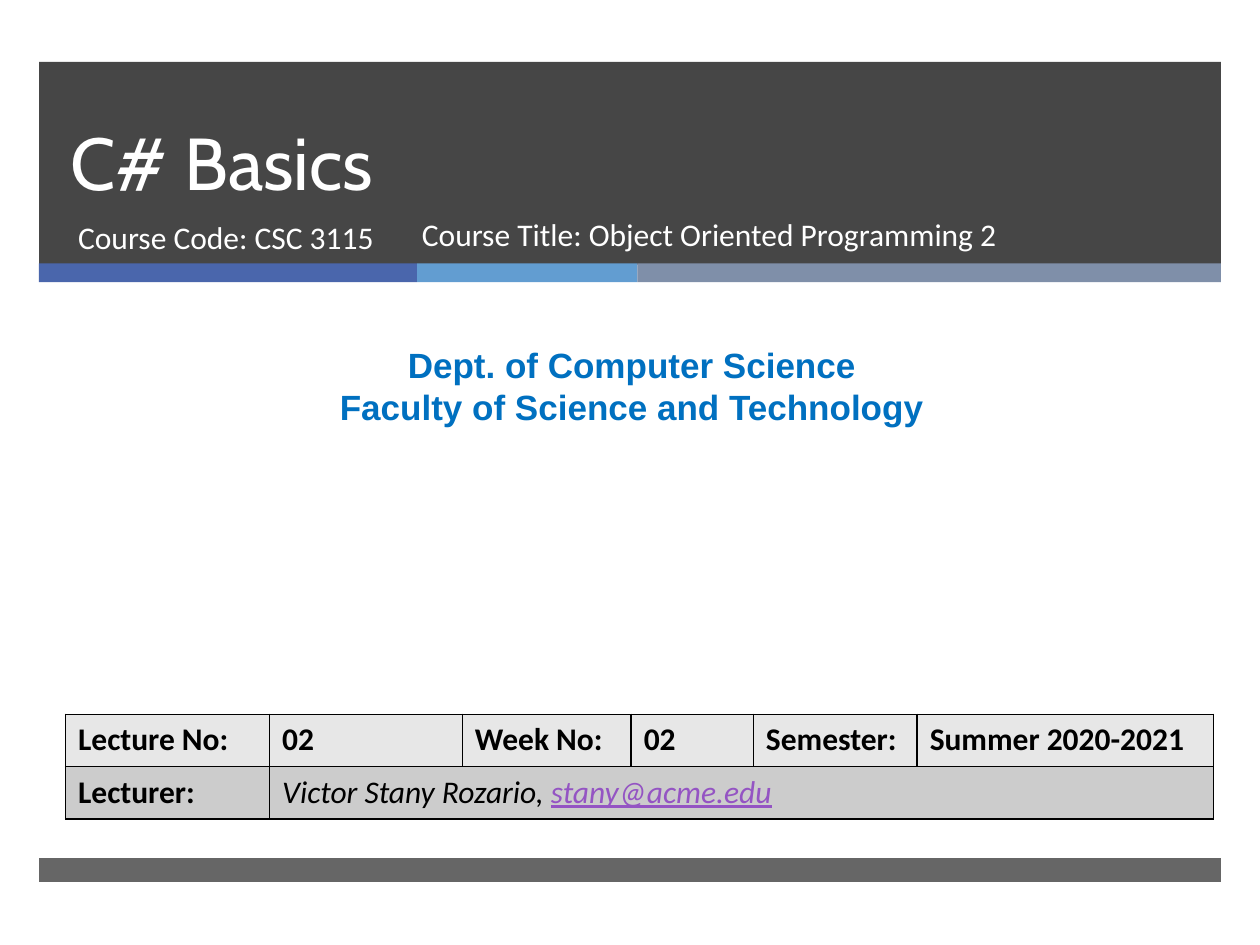
from dataclasses import dataclass

from lxml import etree
from pptx import Presentation
from pptx.dml.color import RGBColor
from pptx.enum.shapes import MSO_SHAPE
from pptx.enum.text import MSO_ANCHOR, MSO_AUTO_SIZE, PP_ALIGN
from pptx.oxml.ns import qn
from pptx.util import Inches, Pt

RECT = MSO_SHAPE.RECTANGLE
TOP, BOTTOM = MSO_ANCHOR.TOP, MSO_ANCHOR.BOTTOM
LEFT, CENTER = PP_ALIGN.LEFT, PP_ALIGN.CENTER
NO_FIT = MSO_AUTO_SIZE.NONE


@dataclass(frozen=True)
class Theme:
    """Colours, fonts and type sizes of the slide."""
    dark: str = "262626"
    stripes: tuple = ("4A66AC", "629DD1", "7F8FA9")
    white: str = "FFFFFF"
    black: str = "000000"
    blue: str = "0070C0"
    link: str = "9454C3"
    rows: tuple = ("E7E7E7", "CCCCCC")
    head: str = "Cabin"
    body: str = "Calibri"
    dept: str = "Arial"
    big: int = 42
    lead: int = 46
    mid: int = 20
    small: int = 18


THEME = Theme()


def add_run(para, text, font, size, color, bold=False, italic=False, under=False):
    """Add one formatted run to a paragraph."""
    run = para.add_run()
    run.text = text
    face = run.font
    face.name, face.size = font, Pt(size)
    face.bold, face.italic, face.underline = bold, italic, under
    face.color.rgb = RGBColor.from_string(color)


def place(shape, box):
    """Move a shape to a box given in inches."""
    shape.left, shape.top, shape.width, shape.height = map(Inches, box)


def add_bar(shapes, box, color, alpha=100):
    """Draw a plain bar, see-through when alpha is below 100."""
    bar = shapes.add_shape(RECT, *map(Inches, box))
    bar.shadow.inherit = False
    bar.line.fill.background()
    bar.fill.solid()
    bar.fill.fore_color.rgb = RGBColor.from_string(color)
    if alpha < 100:
        tint = bar.element.spPr.find(qn("a:solidFill"))[0]
        etree.SubElement(tint, qn("a:alpha")).set("val", str(alpha * 1000))


def add_stripes(slide, box):
    """Draw the grouped colour stripes side by side."""
    left, top, width, height = box
    group = slide.shapes.add_group_shape()
    parts = (3, 1.75, width - 4.75)
    for part, color in zip(parts, THEME.stripes):
        add_bar(group.shapes, (left, top, part, height), color)
        left += part


def fill_holder(slide, holder, box, anchor):
    """Bring a placeholder to the front and return its paragraph."""
    place(holder, box)
    slide.shapes.element.append(holder.element)
    frame = holder.text_frame
    frame.word_wrap, frame.auto_size = True, NO_FIT
    frame.vertical_anchor = anchor
    para = frame.paragraphs[0]
    para.alignment, para.space_before = LEFT, Pt(0)
    return para


def add_note(slide, box, lines, align, font, size, color, bold=False):
    """Add a text box with one paragraph for each line."""
    note = slide.shapes.add_textbox(*map(Inches, box))
    frame = note.text_frame
    frame.word_wrap = True
    for i, line in enumerate(lines):
        para = frame.add_paragraph() if i else frame.paragraphs[0]
        para.alignment = align
        add_run(para, line, font, size, color, bold)


def add_banner(slide, box):
    """Build the dark banner with title, course line and stripes."""
    left, top, width, height = box
    base = top + height
    add_bar(slide.shapes, box, THEME.dark, 85)
    add_stripes(slide, (left, base - 0.01, width, 0.15))
    para = fill_holder(slide, slide.shapes.title,
                       (left + 0.15, top, 8.54, 1.19), BOTTOM)
    para.line_spacing = Pt(THEME.lead)
    add_run(para, "C# Basics", THEME.head, THEME.big, THEME.white)
    para = fill_holder(slide, slide.placeholders[1],
                       (left + 0.21, base - 0.42, 3.05, 0.53), TOP)
    add_run(para, "Course Code: CSC 3115", THEME.body, THEME.small, THEME.white)
    add_note(slide, (left + 2.94, base - 0.44, 5.11, 0.53),
             ["Course Title: Object Oriented Programming 2"],
             LEFT, THEME.body, THEME.small, THEME.white)


def add_edges(cell):
    """Give a cell thin black borders on all sides."""
    props = cell._tc.get_or_add_tcPr()
    for i, side in enumerate(("lnL", "lnR", "lnT", "lnB")):
        line = etree.Element(qn(f"a:{side}"), w=str(Pt(1)))
        fill = etree.SubElement(line, qn("a:solidFill"))
        etree.SubElement(fill, qn("a:srgbClr"), val=THEME.black)
        props.insert(i, line)


def add_facts(slide, box):
    """Build the lecture table."""
    table = slide.shapes.add_table(2, 6, *map(Inches, box)).table
    for col, width in zip(table.columns, (1.62, 1.53, 1.34, 0.97, 1.3, 2.35)):
        col.width = Inches(width)
    for row, color in zip(table.rows, THEME.rows):
        row.height = Inches(box[3] / 2)
        for cell in row.cells:
            cell.fill.solid()
            cell.fill.fore_color.rgb = RGBColor.from_string(color)
            add_edges(cell)
    table.cell(1, 1).merge(table.cell(1, 5))
    style = (THEME.body, THEME.small)
    heads = ("Lecture No:", "02", "Week No:", "02", "Semester:", "Summer 2020-2021")
    cells = [*table.rows[0].cells, table.cell(1, 0)]
    for cell, text in zip(cells, (*heads, "Lecturer:")):
        add_run(cell.text_frame.paragraphs[0], text, *style, THEME.black, bold=True)
    para = table.cell(1, 1).text_frame.paragraphs[0]
    add_run(para, "Victor Stany Rozario, ", *style, THEME.black, italic=True)
    add_run(para, "stany@acme.edu", *style, THEME.link, italic=True, under=True)


def main():
    """Build and save the slide."""
    deck = Presentation()
    deck.slide_width, deck.slide_height = Inches(10), Inches(7.5)
    slide = deck.slides.add_slide(deck.slide_layouts[0])
    add_banner(slide, (0.31, 0.49, 9.38, 1.61))
    add_bar(slide.shapes, (0.31, 6.81, 9.38, 0.19), THEME.dark, 70)
    add_note(slide, (0.08, 2.68, 9.87, 0.77),
             ["Dept. of Computer Science", "Faculty of Science and Technology"],
             CENTER, THEME.dept, THEME.mid, THEME.blue, bold=True)
    add_facts(slide, (0.52, 5.67, 9.11, 0.83))
    deck.save("out.pptx")


if __name__ == "__main__":
    main()
